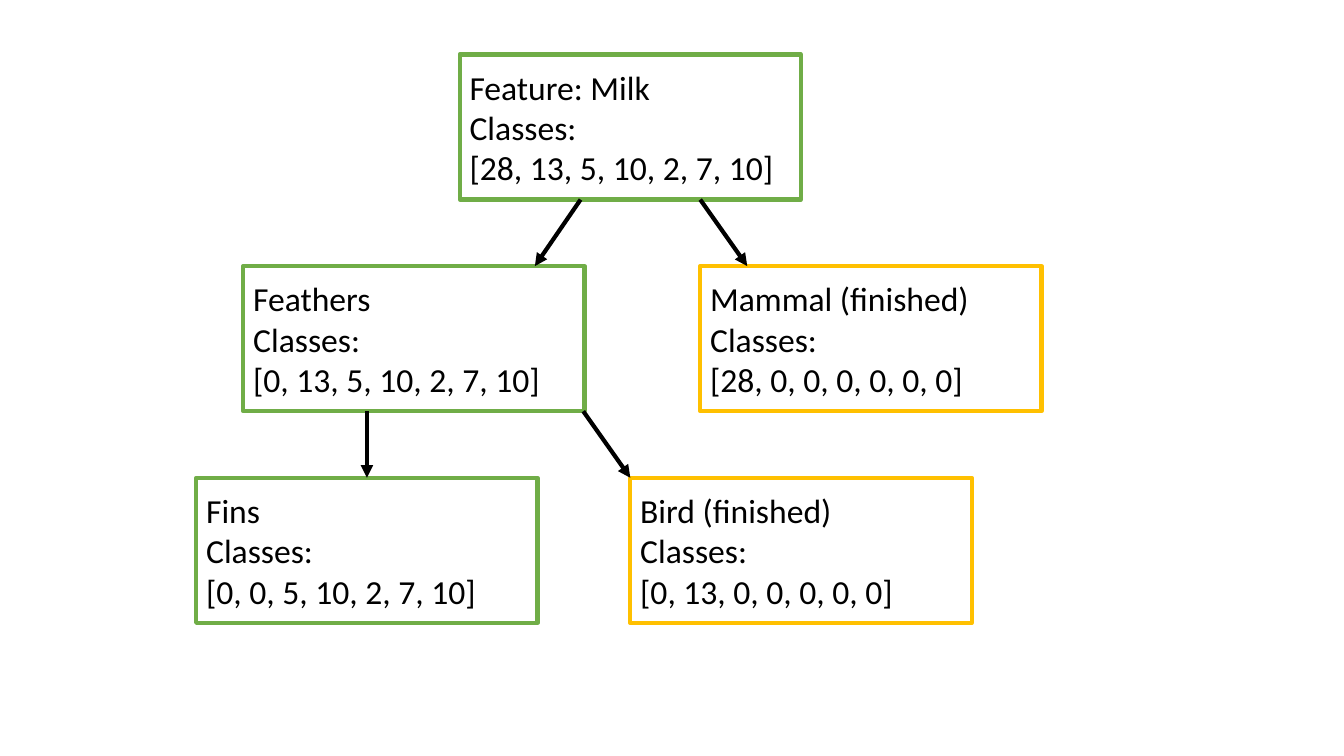
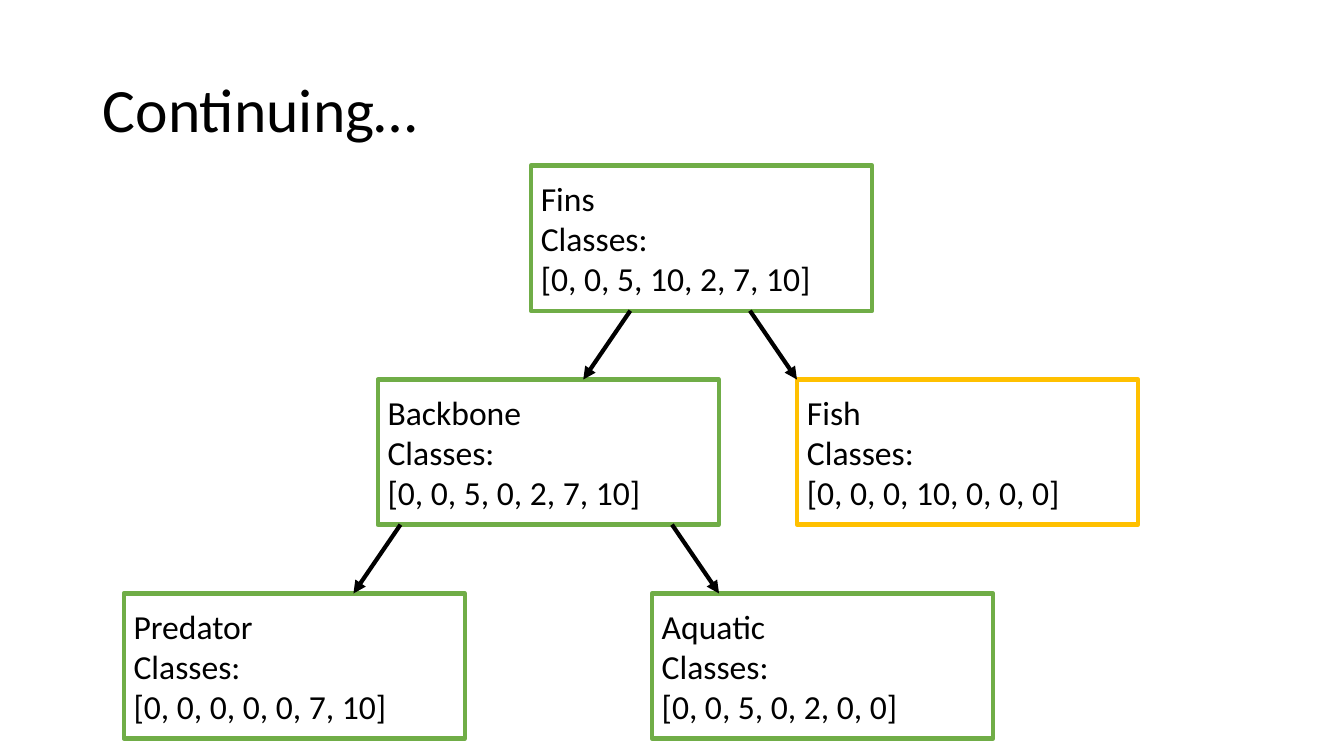
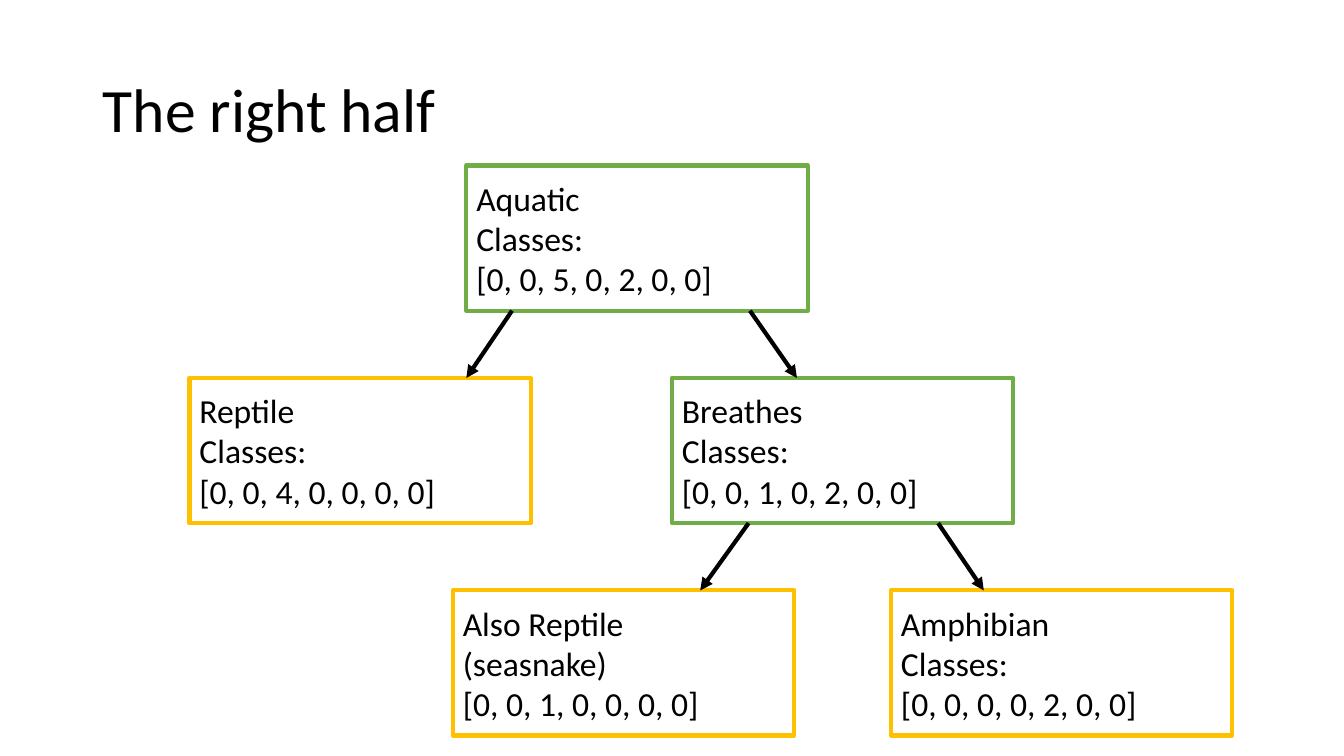
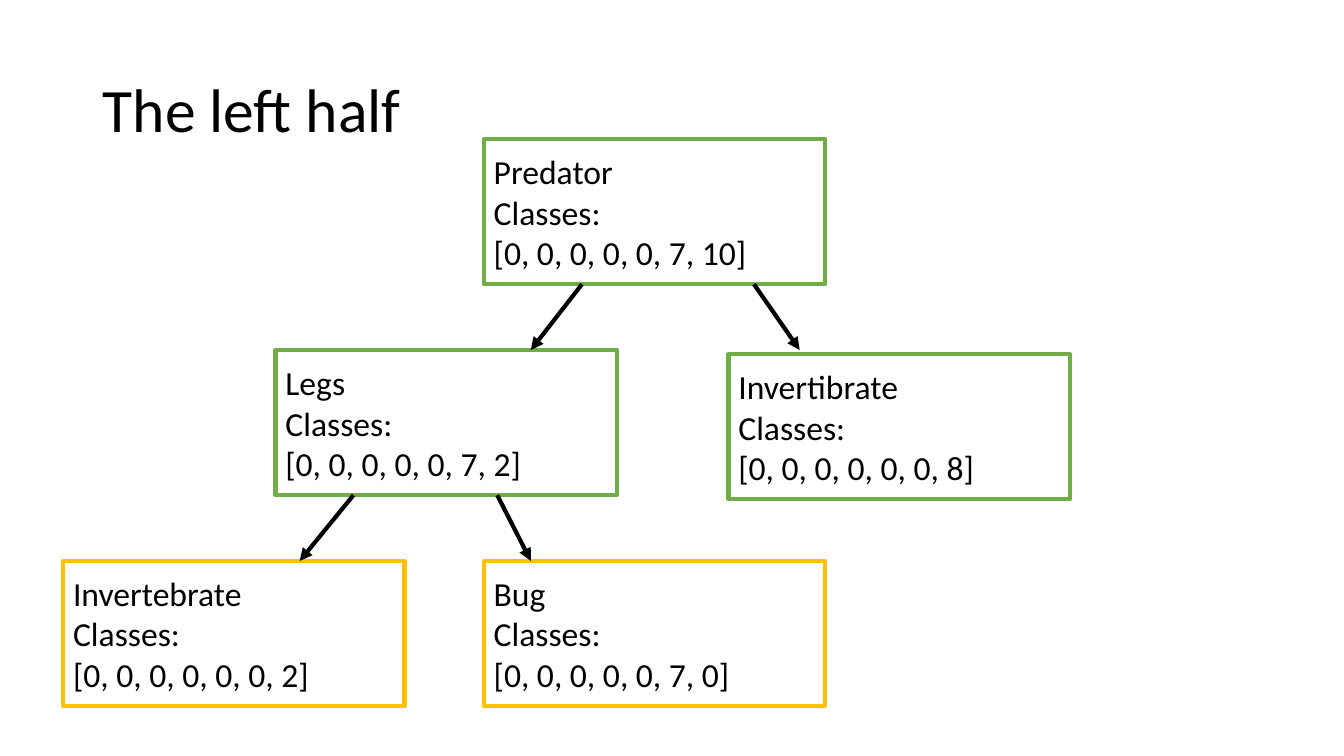
"""Build four slides of a decision tree that sorts animals into classes."""
from lxml.etree import SubElement
from pptx import Presentation
from pptx.dml.color import RGBColor
from pptx.enum.shapes import MSO_CONNECTOR as Link, MSO_SHAPE as Preset
from pptx.enum.text import MSO_ANCHOR as Anchor, PP_ALIGN as Align
from pptx.oxml.ns import qn
from pptx.util import Inches, Pt

COLORS = {"split": "70AD47", "leaf": "FFC000", "ink": "000000", "paper": "FFFFFF"}
FONT = "Calibri"
LINE_WIDTH = Pt(3)
BOX_WIDTH, BOX_HEIGHT = 25.4, 19.2
TITLE_ONLY, BLANK = 5, 6

TREES = [
    {
        "title": None, "top": 7.2, "step": 28,
        "nodes": [
            (0, 34.2, "split", "Feature: Milk", [28, 13, 5, 10, 2, 7, 10]),
            (1, 18.1, "split", "Feathers", [0, 13, 5, 10, 2, 7, 10]),
            (1, 52.1, "leaf", "Mammal (finished)", [28, 0, 0, 0, 0, 0, 0]),
            (2, 14.6, "split", "Fins", [0, 0, 5, 10, 2, 7, 10]),
            (2, 46.9, "leaf", "Bird (finished)", [0, 13, 0, 0, 0, 0, 0]),
        ],
        "arrows": [(0, 43.2, 39.8), (0, 52.1, 55.6), (1, 27.3, 27.3), (1, 43.4, 46.9)],
    },
    {
        "title": "Continuing…", "top": 21.9, "step": 28.3,
        "nodes": [
            (0, 39.5, "split", "Fins", [0, 0, 5, 10, 2, 7, 10]),
            (1, 28.1, "split", "Backbone", [0, 0, 5, 0, 2, 7, 10]),
            (1, 59.3, "leaf", "Fish", [0, 0, 0, 10, 0, 0, 0]),
            (2, 9.2, "split", "Predator", [0, 0, 0, 0, 0, 7, 10]),
            (2, 48.5, "split", "Aquatic", [0, 0, 5, 0, 2, 0, 0]),
        ],
        "arrows": [(0, 46.9, 43.4), (0, 55.8, 59.3), (1, 29.8, 26.3), (1, 50, 53.5)],
    },
    {
        "title": "The right half", "top": 21.9, "step": 28.1,
        "nodes": [
            (0, 34.7, "split", "Aquatic", [0, 0, 5, 0, 2, 0, 0]),
            (1, 14.1, "leaf", "Reptile", [0, 0, 4, 0, 0, 0, 0]),
            (1, 50, "split", "Breathes", [0, 0, 1, 0, 2, 0, 0]),
            (2, 33.7, "leaf", "Also Reptile|(seasnake)", [0, 0, 1, 0, 0, 0, 0]),
            (2, 66.3, "leaf", "Amphibian", [0, 0, 0, 0, 2, 0, 0]),
        ],
        "arrows": [(0, 38.1, 34.7), (0, 55.8, 59.3), (1, 55.7, 52.1), (1, 69.8, 73.2)],
    },
    {
        "title": "The left half", "top": 18.4, "step": 27.9,
        "nodes": [
            (0, 36, "split", "Predator", [0, 0, 0, 0, 0, 7, 10]),
            (1, 20.5, "split", "Legs", [0, 0, 0, 0, 0, 7, 2]),
            (1.02, 54.2, "split", "Invertibrate", [0, 0, 0, 0, 0, 0, 8]),
            (2, 4.7, "leaf", "Invertebrate", [0, 0, 0, 0, 0, 0, 2]),
            (2, 36, "leaf", "Bug", [0, 0, 0, 0, 0, 7, 0]),
        ],
        "arrows": [(0, 43.3, 39.5), (0, 56.1, 59.5), (1, 26.3, 22.3), (1, 37, 39.5)],
    },
]

deck = Presentation()
deck.slide_width, deck.slide_height = Inches(13.33), Inches(7.5)


def place(column, row):
    """Turn percentages of the slide's size into lengths."""
    return round(deck.slide_width * column / 100), round(deck.slide_height * row / 100)


def write(para, text, size):
    """Add one run in the shared font."""
    span = para.add_run()
    span.text = text
    span.font.name, span.font.size = FONT, Pt(size)
    span.font.color.rgb = RGBColor.from_string(COLORS["ink"])


for tree in TREES:
    page = deck.slides.add_slide(deck.slide_layouts[TITLE_ONLY if tree["title"] else BLANK])
    if tree["title"]:
        title = page.shapes.title
        title.left, title.top = place(6.9, 5.3)
        title.width, title.height = place(86.2, 19.3)
        title.text_frame.vertical_anchor = Anchor.MIDDLE
        para = title.text_frame.paragraphs[0]
        para.alignment, para.line_spacing = Align.LEFT, 0.9
        write(para, tree["title"], 44)

    boxes = []
    for row, column, kind, label, counts in tree["nodes"]:
        top = tree["top"] + row * tree["step"]
        box = page.shapes.add_shape(
            Preset.RECTANGLE, *place(column, top), *place(BOX_WIDTH, BOX_HEIGHT))
        box.shadow.inherit = False
        box.fill.solid()
        box.fill.fore_color.rgb = RGBColor.from_string(COLORS["paper"])
        box.line.color.rgb = RGBColor.from_string(COLORS[kind])
        box.line.width = LINE_WIDTH
        frame = box.text_frame
        frame.word_wrap, frame.vertical_anchor = True, Anchor.MIDDLE
        name, _, caption = label.partition("|")
        heading, detail = frame.paragraphs[0], frame.add_paragraph()
        heading.alignment = detail.alignment = Align.LEFT
        write(heading, name, 24)
        write(detail, caption or "Classes:", 24)
        detail.add_line_break()
        write(detail, str(counts), 24)
        boxes.append(box)

    for row, start, end in tree["arrows"]:
        top = tree["top"] + row * tree["step"]
        tip = place(end, top + tree["step"])
        arrow = page.shapes.add_connector(Link.STRAIGHT, *place(start, top + BOX_HEIGHT), *tip)
        arrow.line.color.rgb = RGBColor.from_string(COLORS["ink"])
        arrow.line.width = LINE_WIDTH
        SubElement(arrow.line._get_or_add_ln(), qn("a:tailEnd"), type="triangle")
        SubElement(arrow._element.spPr, qn("a:effectLst"))
        for box in boxes:
            middle = box.left + box.width // 2
            if abs(middle - tip[0]) < Inches(0.02) and abs(box.top - tip[1]) < Inches(0.02):
                arrow.end_connect(box, 0)

deck.save("out.pptx")
